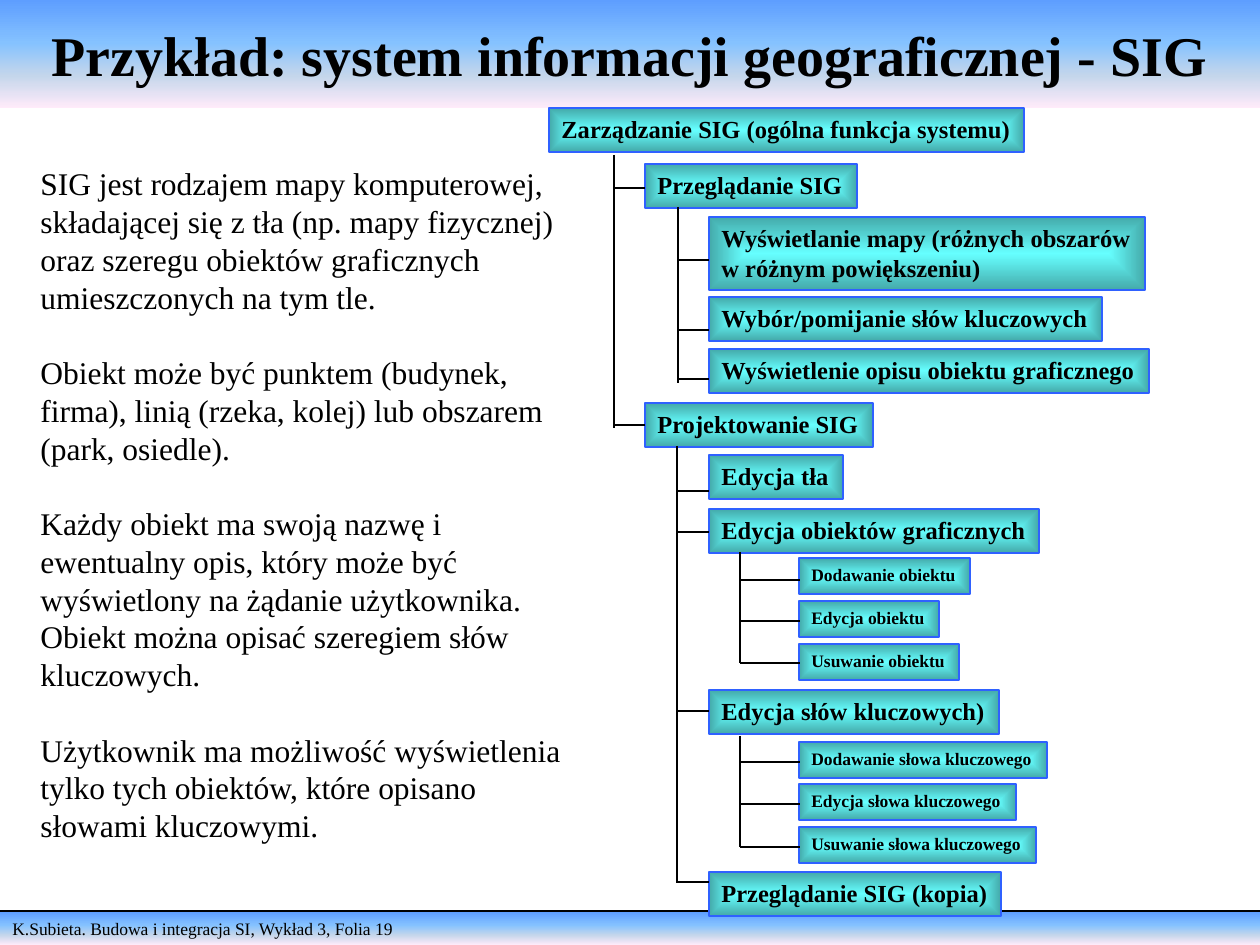
from pptx import Presentation
from pptx.dml.color import RGBColor
from pptx.enum.shapes import MSO_CONNECTOR, MSO_SHAPE
from pptx.enum.text import MSO_ANCHOR, MSO_AUTO_SIZE, PP_ALIGN
from pptx.oxml import parse_xml
from pptx.oxml.ns import nsdecls, qn
from pptx.util import Pt
from lxml.etree import SubElement

PX = 914400 / 126
BLACK = RGBColor(0x00, 0x00, 0x00)
BORDER = RGBColor(0x2F, 0x61, 0xFF)
SKY = [(0, RGBColor(0x5E, 0x9E, 0xFF)), (40, RGBColor(0x85, 0xC2, 0xFF)),
       (70, RGBColor(0xC4, 0xD6, 0xEB)), (100, RGBColor(0xFF, 0xEB, 0xFA))]
TEAL = [(0, RGBColor(0x66, 0xFF, 0xFF)), (100, RGBColor(0x44, 0xAA, 0xAA))]
DOWN = '<a:lin ang="5400000" scaled="1"/>'
FROM_CENTRE = ('<a:path path="shape"><a:fillToRect l="50000" t="50000" '
               'r="50000" b="50000"/></a:path>')


def style(sp, box, text, size, bold=False, align=PP_ALIGN.LEFT, stops=None, direction=DOWN):
    """Place a shape, write its text and give it a gradient when stops are given."""
    sp.left, sp.top, sp.width, sp.height = [round(v * PX) for v in box]
    tf = sp.text_frame
    tf.text = text
    for p in tf.paragraphs:
        p.alignment = align
        for r in p.runs:
            r.font.name = "Times New Roman"
            r.font.size = Pt(size)
            r.font.bold = bold
            r.font.color.rgb = BLACK
    if stops:
        sp.shadow.inherit = False
        sp.fill.gradient()
        old = sp._element.spPr.find(qn("a:gradFill"))
        gs = "".join(f'<a:gs pos="{pos * 1000}"><a:srgbClr val="{rgb}"/></a:gs>'
                     for pos, rgb in stops)
        old.getparent().replace(old, parse_xml(
            f'<a:gradFill {nsdecls("a")} rotWithShape="1">'
            f'<a:gsLst>{gs}</a:gsLst>{direction}</a:gradFill>'))
    return tf


def add_line(x1, y1, x2, y2):
    line = shapes.add_connector(MSO_CONNECTOR.STRAIGHT,
                                *[round(v * PX) for v in (x1, y1, x2, y2)])
    line.line.color.rgb = BLACK
    line.line.width = Pt(1)
    SubElement(line._element.spPr, qn("a:effectLst"))


prs = Presentation()
prs.slide_width, prs.slide_height = round(1260 * PX), round(945 * PX)
slide = prs.slides.add_slide(prs.slide_layouts[5])
shapes = slide.shapes

# Footer band and title
footer = shapes.add_shape(MSO_SHAPE.RECTANGLE, 0, 0, 0, 0)
tf = style(footer, (0, 912, 1260, 33), "K.Subieta. Budowa i integracja SI, Wykład 3, Folia 19",
           10, stops=SKY)
tf.vertical_anchor = MSO_ANCHOR.TOP
footer.line.fill.background()
add_line(0, 911, 1260, 911)

tf = style(shapes.title, (0, 0, 1260, 108), "Przykład: system informacji geograficznej - SIG",
           32, True, PP_ALIGN.CENTER, SKY)
tf.vertical_anchor = MSO_ANCHOR.MIDDLE
tf.auto_size = MSO_AUTO_SIZE.NONE

# Description
description = [
    "SIG jest rodzajem mapy komputerowej, składającej się z tła (np. mapy fizycznej) "
    "oraz szeregu obiektów graficznych umieszczonych na tym tle.",
    "Obiekt może być punktem (budynek, firma), linią (rzeka, kolej) lub obszarem "
    "(park, osiedle).",
    "Każdy obiekt ma swoją nazwę i ewentualny opis, który może być wyświetlony na żądanie "
    "użytkownika. Obiekt można opisać szeregiem słów kluczowych.",
    "Użytkownik ma możliwość wyświetlenia tylko tych obiektów, które opisano "
    "słowami kluczowymi.",
]
tf = style(shapes.add_textbox(0, 0, 0, 0), (28, 158, 558, 694), "\n".join(description), 18)
tf.word_wrap = True
for p in tf.paragraphs[1:]:
    p.space_before = Pt(21.5)

# Function tree: level, top, width, text
level_x = [549, 645, 709, 799]
functions = [
    (0, 108, 475, "Zarządzanie SIG (ogólna funkcja systemu)"),
    (1, 164, 212, "Przeglądanie SIG"),
    (2, 217, 436, "Wyświetlanie mapy (różnych obszarów\nw różnym powiększeniu)"),
    (2, 297, 393, "Wybór/pomijanie słów kluczowych"),
    (2, 349, 440, "Wyświetlenie opisu obiektu graficznego"),
    (1, 403, 228, "Projektowanie SIG"),
    (2, 455, 134, "Edycja tła"),
    (2, 509, 330, "Edycja obiektów graficznych"),
    (3, 558, 171, "Dodawanie obiektu"),
    (3, 601, 140, "Edycja obiektu"),
    (3, 644, 160, "Usuwanie obiektu"),
    (2, 690, 290, "Edycja słów kluczowych)"),
    (3, 742, 248, "Dodawanie słowa kluczowego"),
    (3, 784, 217, "Edycja słowa kluczowego"),
    (3, 827, 237, "Usuwanie słowa kluczowego"),
    (2, 872, 292, "Przeglądanie SIG (kopia)"),
]
for level, top, width, text in functions:
    size, height = (10, 36) if level == 3 else (14, 44)
    height += 29 * text.count("\n")
    sp = shapes.add_shape(MSO_SHAPE.ROUNDED_RECTANGLE, 0, 0, 0, 0)
    sp.adjustments[0] = 0
    tf = style(sp, (level_x[level], top, width, height), text, size, True,
               stops=TEAL, direction=FROM_CENTRE)
    tf.vertical_anchor = MSO_ANCHOR.TOP
    tf.word_wrap = False
    tf.auto_size = MSO_AUTO_SIZE.SHAPE_TO_FIT_TEXT
    sp.line.color.rgb = BORDER
    sp.line.width = Pt(1)

# Branches: trunk x, top, bottom, twig end, twig heights
branches = [
    (614, 155, 428, 645, [188, 425]),
    (678, 207, 383, 709, [260, 330, 379]),
    (677, 446, 883, 709, [491, 532, 711, 882]),
    (740, 552, 663, 800, [580, 621, 663]),
    (740, 736, 847, 800, [762, 804, 847]),
]
for x, top, bottom, end, twigs in branches:
    add_line(x, top, x, bottom)
    for y in twigs:
        add_line(x, y, end, y)

prs.save("out.pptx")
